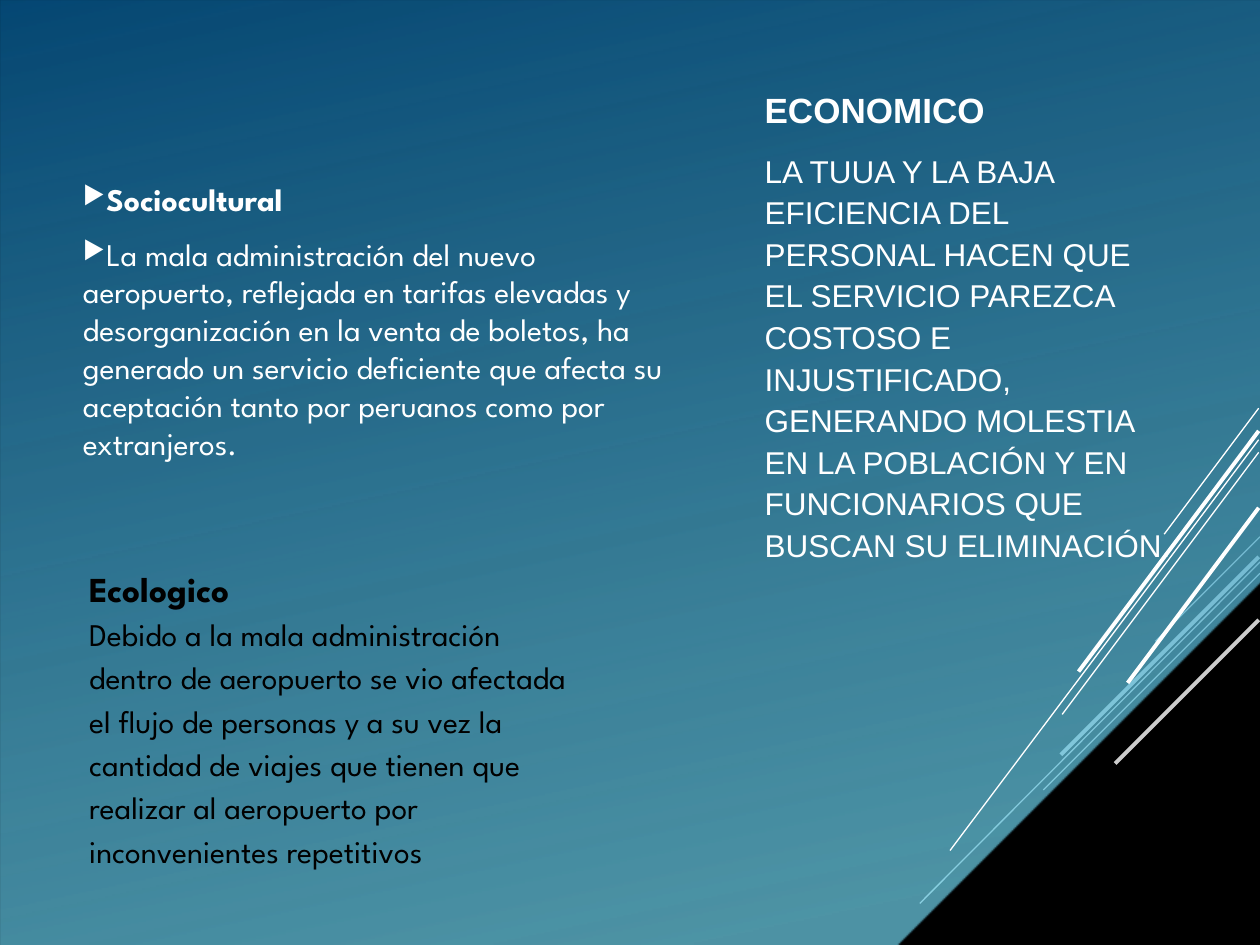
import pptx
import pptx.util
import pptx.dml.color
import pptx.enum.shapes
import pptx.enum.text
import lxml.etree
from dataclasses import dataclass
from pptx.util import Inches, Pt


@dataclass(frozen=True)
class Theme:
    white: str = "FFFFFF"
    black: str = "000000"
    light: str = "6ED2EB"
    dark: str = "06588E"
    head: int = 20
    body: int = 18
    sans: str = "Arial"
    round: str = "League Spartan"


T = Theme()
RGB = pptx.dml.color.RGBColor.from_string
SHAPE = pptx.enum.shapes.MSO_SHAPE
A = "{http://schemas.openxmlformats.org/drawingml/2006/main}"

prs = pptx.Presentation()
prs.slide_width, prs.slide_height = Inches(10), Inches(7.5)
s = prs.slides.add_slide(prs.slide_layouts[6])
s.background.fill.solid()
s.background.fill.fore_color.rgb = RGB(T.black)


def add_lines(lines):
    for x1, y1, x2, y2, width in lines:
        c = s.shapes.add_connector(pptx.enum.shapes.MSO_CONNECTOR.STRAIGHT,
                                   Inches(x1), Inches(y1), Inches(x2), Inches(y2))
        c.line.color.rgb = RGB(T.white)
        c.line.width = Pt(width)
        lxml.etree.SubElement(c._element.spPr, A + "effectLst")


def add_text(box, paragraphs, color, font, spacing=None, before=0, after=0,
             indent=0, bullet=None):
    """Fill a new text box; paragraphs are (text, size, bold)."""
    sp = s.shapes.add_textbox(*map(Inches, box))
    tf = sp.text_frame
    tf.word_wrap = True
    for i, (text, size, bold) in enumerate(paragraphs):
        p = tf.paragraphs[0] if i == 0 else tf.add_paragraph()
        p.text = text
        p.line_spacing = spacing
        p.space_before = Pt(before if i else 0)
        p.space_after = Pt(after)
        pPr = p._p.get_or_add_pPr()
        pPr.set("marL", str(Inches(indent)))
        pPr.set("indent", "0")
        if bullet:
            clr = lxml.etree.SubElement(pPr, A + "buClr")
            lxml.etree.SubElement(clr, A + "srgbClr", val=color)
            lxml.etree.SubElement(pPr, A + "buSzPct", val="80000")
            lxml.etree.SubElement(pPr, A + "buChar", char=bullet)
        r = p.runs[0]
        r.font.size, r.font.bold, r.font.name = Pt(size), bold, font
        r.font.color.rgb = RGB(color)
    return tf


# Diagonal lines behind the blue panel
add_lines([
    (10, 4.26, 9.17, 5.09, 0.75),
    (10, 4.46, 7.3, 7.17, 0.75),
    (10, 4.55, 8.28, 6.27, 0.75),
    (9.99, 4.42, 8.42, 5.99, 2.25),
    (9.99, 4.92, 8.85, 6.06, 2.25),
])

# Dark veil and blue panel with its lower right corner cut off
veil, panel = [s.shapes.add_shape(kind, 0, 0, prs.slide_width, prs.slide_height)
               for kind in (SHAPE.RECTANGLE, SHAPE.SNIP_1_RECTANGLE)]
for sp in (veil, panel):
    sp.shadow.inherit = False
    sp.line.fill.background()
veil.fill.solid()
veil.fill.fore_color.rgb = RGB(T.black)
panel.adjustments[0] = 0.384
panel._element.spPr.xfrm.set("flipV", "1")
panel.fill.gradient()
panel.fill.gradient_angle = 258
stops = panel.fill.gradient_stops
for stop, position, color in zip(stops, (0.1, 1), (T.light, T.dark)):
    stop.position = position
    stop.color.rgb = RGB(color)
colors = [sp_clr for sp in (veil, panel)
          for sp_clr in sp._element.spPr.iter(A + "srgbClr")]
for clr, opacity in zip(colors, (20, 70, 80)):
    lxml.etree.SubElement(clr, A + "alpha", val=str(opacity * 1000))

# Sociocultural
tf = add_text((0.56, 0.75, 4.82, 3.59), [
    ("Sociocultural", T.body, True),
    ("La mala administración del nuevo aeropuerto, reflejada en tarifas elevadas y "
     "desorganización en la venta de boletos, ha generado un servicio deficiente que "
     "afecta su aceptación tanto por peruanos como por extranjeros.", T.body, False),
], T.white, T.round, before=3.6, after=6, bullet="▶")
tf.vertical_anchor = pptx.enum.text.MSO_ANCHOR.MIDDLE

# Diagonal lines in front of the panel
add_lines([
    (9.99, 3.24, 9.24, 4.24, 0.75),
    (9.99, 3.49, 7.54, 6.75, 0.75),
    (9.99, 3.59, 8.43, 5.67, 0.75),
    (9.99, 3.42, 8.56, 5.33, 2.25),
    (9.99, 4.03, 8.95, 5.42, 2.25),
])

# Económico
add_text((5.97, 0.62, 3.45, 0.86), [
    ("ECONOMICO", T.head, True),
    ("LA TUUA Y LA BAJA EFICIENCIA DEL PERSONAL HACEN QUE EL SERVICIO PAREZCA COSTOSO "
     "E INJUSTIFICADO, GENERANDO MOLESTIA EN LA POBLACIÓN Y EN FUNCIONARIOS QUE BUSCAN "
     "SU ELIMINACIÓN.", T.body, False),
], T.white, T.sans, spacing=1.1, before=10)

# Ecológico
tf = add_text((0.36, 4.35, 4.26, 2.32), [
    ("Ecologico", T.head, True),
    ("Debido a la mala administración dentro de aeropuerto se vio afectada el flujo de "
     "personas y a su vez la cantidad de viajes que tienen que realizar al aeropuerto "
     "por inconvenientes repetitivos", T.body, False),
], T.black, T.round, spacing=1.15, indent=0.25)
tf.margin_top = tf.margin_bottom = Inches(0.1)
tf.auto_size = pptx.enum.text.MSO_AUTO_SIZE.SHAPE_TO_FIT_TEXT

prs.save("out.pptx")
